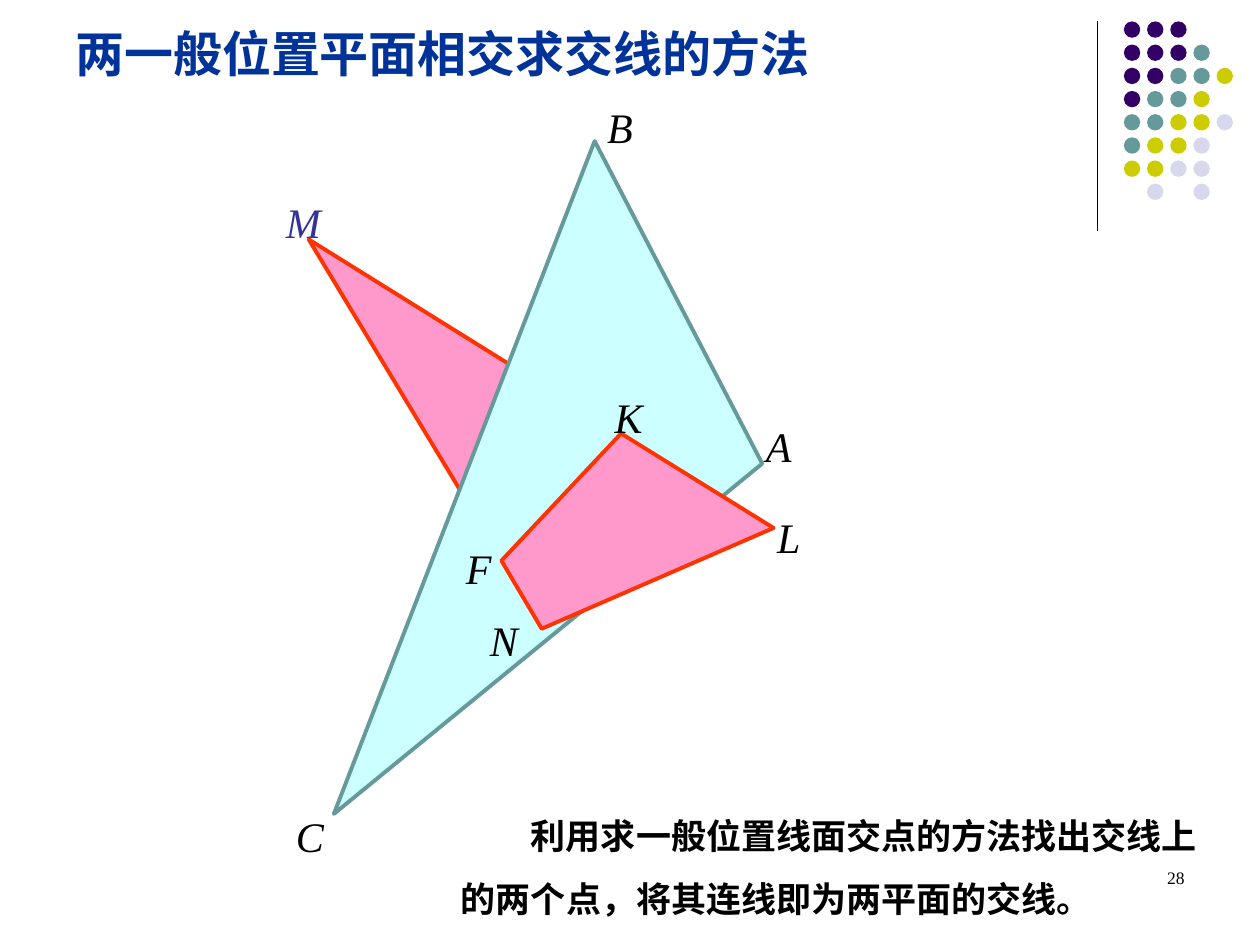
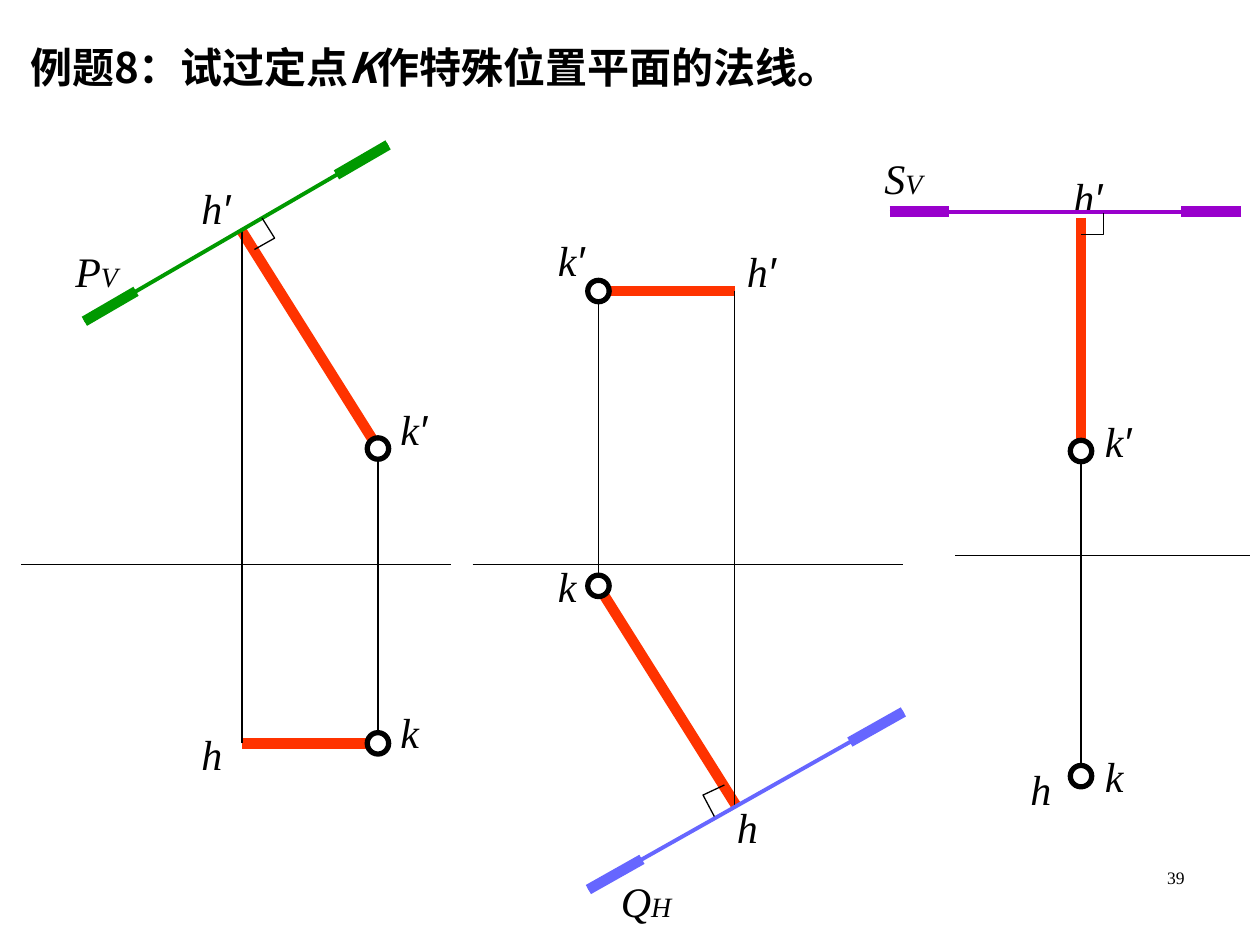
from dataclasses import dataclass

from lxml import etree
from pptx import Presentation
from pptx.dml.color import RGBColor
from pptx.enum.shapes import MSO_CONNECTOR, MSO_SHAPE
from pptx.enum.text import PP_ALIGN
from pptx.oxml.ns import qn
from pptx.util import Inches, Pt

STRAIGHT = MSO_CONNECTOR.STRAIGHT
OVAL = MSO_SHAPE.OVAL
LEFT, RIGHT = PP_ALIGN.LEFT, PP_ALIGN.RIGHT


@dataclass(frozen=True)
class Theme:
    black: str = "000000"
    white: str = "FFFFFF"
    heading: str = "003399"
    label_m: str = "333399"
    red: str = "FF3300"
    pink: str = "FF99CC"
    cyan: str = "CCFFFF"
    teal: str = "669999"
    purple: str = "330066"
    lime: str = "CCCC00"
    mist: str = "D8D8EC"
    trace_p: str = "009900"
    trace_q: str = "6666FF"
    trace_s: str = "9900CC"
    serif: str = "Times New Roman"
    sans: str = "Arial"
    chinese: str = "Noto Sans CJK SC"
    title_size: int = 28
    label_size: int = 24
    body_size: int = 20
    index_size: int = 16
    number_size: int = 10
    hairline: float = 0.75
    thin: float = 2.25
    ring: float = 3
    thick: float = 6


theme = Theme()
deck = Presentation()
deck.slide_width, deck.slide_height = Inches(10), Inches(7.5)
# All lengths below count cells of a grid of 100 columns by 75 rows.
COLUMN = deck.slide_width // 100
ROW = deck.slide_height // 75
blank = deck.slide_layouts[6]
planes_page = deck.slides.add_slide(blank)
normals_page = deck.slides.add_slide(blank)


def write(page, left, top, width, height, runs, align=LEFT):
    """Add a text box; each run is (text, size, font, colour, bold, italic)."""
    box = page.shapes.add_textbox(
        round(left * COLUMN), round(top * ROW), round(width * COLUMN), round(height * ROW))
    box.text_frame.word_wrap = True
    para = box.text_frame.paragraphs[0]
    para.alignment = align
    for text, size, font, colour, bold, italic in runs:
        span = para.add_run()
        span.text = text
        span.font.size = Pt(size)
        span.font.name = font
        span.font.bold, span.font.italic = bold, italic
        span.font.color.rgb = RGBColor.from_string(colour)
        east_asian = etree.SubElement(span._r.get_or_add_rPr(), qn("a:ea"))
        east_asian.set("typeface", font)
    return para


def outline(page, points, colour, width, fill=None):
    """Draw a polygon if a fill is given, otherwise an open path."""
    corners = [(round(x * COLUMN), round(y * ROW)) for x, y in points]
    builder = page.shapes.build_freeform(*corners[0], scale=1.0)
    builder.add_line_segments(corners[1:], close=fill is not None)
    shape = builder.convert_to_shape()
    shape.shadow.inherit = False
    shape.line.color.rgb = RGBColor.from_string(colour)
    shape.line.width = Pt(width)
    if fill:
        shape.fill.solid()
        shape.fill.fore_color.rgb = RGBColor.from_string(fill)
    else:
        shape.fill.background()


# Page numbers
for page, number in ((planes_page, "28"), (normals_page, "39")):
    write(page, 71.7, 68.3, 23.3, 5,
          [(number, theme.number_size, theme.serif, theme.black, False, False)], RIGHT)

# Slide 1: dot pattern in the corner
DOT_COLOURS = {"P": theme.purple, "T": theme.teal, "L": theme.lime, "M": theme.mist}
DOT_ROWS = ("PPP", "PPPT", "PPTTL", "PTTL", "TTLLM", "TLLM", "LLMM", " M M")
DOT_STEP, DOT_SIZE = 1.84, 1.3
for row, codes in enumerate(DOT_ROWS):
    for column, code in enumerate(codes):
        if code in DOT_COLOURS:
            dot = planes_page.shapes.add_shape(
                OVAL, round((89.2 + column * DOT_STEP) * COLUMN),
                round((1.7 + row * DOT_STEP) * ROW),
                round(DOT_SIZE * COLUMN), round(DOT_SIZE * ROW))
            dot.shadow.inherit = False
            dot.fill.solid()
            dot.fill.fore_color.rgb = RGBColor.from_string(DOT_COLOURS[code])
            dot.line.fill.background()

# Slide 1: text and the two intersecting planes
write(planes_page, 5, 1.4, 62, 5.7,
      [("两一般位置平面相交求交线的方法", theme.title_size, theme.sans,
        theme.heading, True, False)])
method = write(planes_page, 35.6, 62.5, 61.6, 11,
               [("利用求一般位置线面交点的方法找出交线上的两个点，将其连线即为两平面的交线。",
                 theme.body_size, theme.chinese, theme.black, True, False)])
method.line_spacing = 1.5
method._p.get_or_add_pPr().set("indent", str(Pt(2 * theme.body_size)))

triangle_abc = ((60.5, 36.8), (26.5, 64.6), (47.2, 11.2))
plane_behind = ((39.9, 44.5), (24.5, 19), (49.4, 34.5))
plane_in_front = ((49.3, 34.4), (39.8, 44.5), (43, 49.9), (61.4, 41.9))
for corners, edge, fill in (
    (plane_behind, theme.red, theme.pink),
    (triangle_abc, theme.teal, theme.cyan),
    (plane_in_front, theme.red, theme.pink),
):
    outline(planes_page, corners, edge, theme.thin, fill)

# Slide 2: title
write(normals_page, 1.4, 2.8, 69.2, 9,
      [(text, theme.label_size, theme.chinese, theme.black, True, italic)
       for text, italic in (("例题8：试过定点", False), ("K", True),
                            ("作特殊位置平面的法线。", False))])

# Point labels of both slides: page, left, top, letter, ending
for page, left, top, letter, ending in (
    (planes_page, 21.7, 15.1, "M", ""),
    (planes_page, 47.2, 7.6, "B", ""),
    (planes_page, 22.5, 63.8, "C", ""),
    (planes_page, 59.8, 32.9, "A", ""),
    (planes_page, 36, 42.6, "F", ""),
    (planes_page, 47.8, 30.6, "K", ""),
    (planes_page, 37.9, 48.3, "N", ""),
    (planes_page, 60.7, 40.1, "L", ""),
    (normals_page, 15, 14, "h", "′"),
    (normals_page, 15, 57.3, "h", ""),
    (normals_page, 30.8, 31.5, "k", "′"),
    (normals_page, 30.8, 55.6, "k", ""),
    (normals_page, 5, 19, "P", "V"),
    (normals_page, 58.3, 19, "h", "′"),
    (normals_page, 57.5, 63.1, "h", ""),
    (normals_page, 43.3, 18.1, "k", "′"),
    (normals_page, 43.3, 44, "k", ""),
    (normals_page, 48.3, 69, "Q", "H"),
    (normals_page, 84.2, 13.1, "h", "′"),
    (normals_page, 80.8, 60.1, "h", ""),
    (normals_page, 86.7, 32.5, "k", "′"),
    (normals_page, 86.7, 59.1, "k", ""),
    (normals_page, 69.2, 11.6, "S", "V"),
):
    colour = theme.label_m if letter == "M" else theme.black
    runs = [(letter, theme.label_size, theme.serif, colour, False, True)]
    if ending == "′":
        runs.append((ending, theme.label_size, theme.sans, colour, False, True))
    elif ending:
        runs.append((ending, theme.index_size, theme.serif, colour, False, True))
    write(page, left, top, 8.3, 5, runs)

# Straight lines: page, start, end, colour, width
strokes = [(planes_page, (87.1, 1.7), (87.1, 18.3), theme.black, theme.hairline)]
for start, end in (
    ((58.3, 23.1), (47.5, 23.1)),
    ((47.6, 46.7), (58.4, 63.9)),
    ((29.9, 35.4), (19.1, 18.2)),
    ((19.2, 59), (30, 59)),
    ((85.8, 17.3), (85.8, 36.5)),
):
    strokes.append((normals_page, start, end, theme.red, theme.thick))
for start, end in (
    ((1.7, 44.8), (35.8, 44.8)),
    ((37.5, 44.8), (71.7, 44.8)),
    ((75.8, 44.1), (99.2, 44.1)),
    ((19.2, 59), (19.2, 18.1)),
    ((30, 35.6), (30, 59)),
    ((47.5, 46.5), (47.5, 23.1)),
    ((58.3, 23.1), (58.3, 64)),
    ((85.8, 35.8), (85.8, 61.6)),
):
    strokes.append((normals_page, start, end, theme.black, theme.hairline))

# Plane traces have a thick piece at each end
END_SHARE = 0.17
for (x1, y1), (x2, y2), colour in (
    ((6.7, 25.5), (30.8, 11.5), theme.trace_p),
    ((46.7, 70.6), (71.7, 56.5), theme.trace_q),
    ((70.6, 16.8), (98.5, 16.8), theme.trace_s),
):
    run, rise = (x2 - x1) * END_SHARE, (y2 - y1) * END_SHARE
    strokes += [
        (normals_page, (x1, y1), (x2, y2), colour, theme.thin),
        (normals_page, (x1, y1), (x1 + run, y1 + rise), colour, theme.thick),
        (normals_page, (x2, y2), (x2 - run, y2 - rise), colour, theme.thick),
    ]

for page, (x1, y1), (x2, y2), colour, width in strokes:
    stroke = page.shapes.add_connector(
        STRAIGHT, round(x1 * COLUMN), round(y1 * ROW), round(x2 * COLUMN), round(y2 * ROW))
    stroke.line.color.rgb = RGBColor.from_string(colour)
    stroke.line.width = Pt(width)
    etree.SubElement(stroke._element.spPr, qn("a:effectLst"))

# Rings mark the projections of point K
RING_SIZE = 1.7
for x, y in ((30, 35.6), (30, 59), (47.5, 23.1), (47.5, 46.5), (85.8, 35.8), (85.8, 61.6)):
    ring = normals_page.shapes.add_shape(
        OVAL, round((x - RING_SIZE / 2) * COLUMN), round((y - RING_SIZE / 2) * ROW),
        round(RING_SIZE * COLUMN), round(RING_SIZE * ROW))
    ring.shadow.inherit = False
    ring.fill.solid()
    ring.fill.fore_color.rgb = RGBColor.from_string(theme.white)
    ring.line.color.rgb = RGBColor.from_string(theme.black)
    ring.line.width = Pt(theme.ring)

# Right-angle marks
for corners in (
    ((87.6, 16.9), (87.6, 18.6), (85.8, 18.6)),
    ((57.5, 62.3), (55.8, 63.1), (56.7, 64.8)),
    ((20.8, 17.3), (21.8, 18.9), (20.2, 19.8)),
):
    outline(normals_page, corners, theme.black, theme.hairline)

deck.save("out.pptx")
